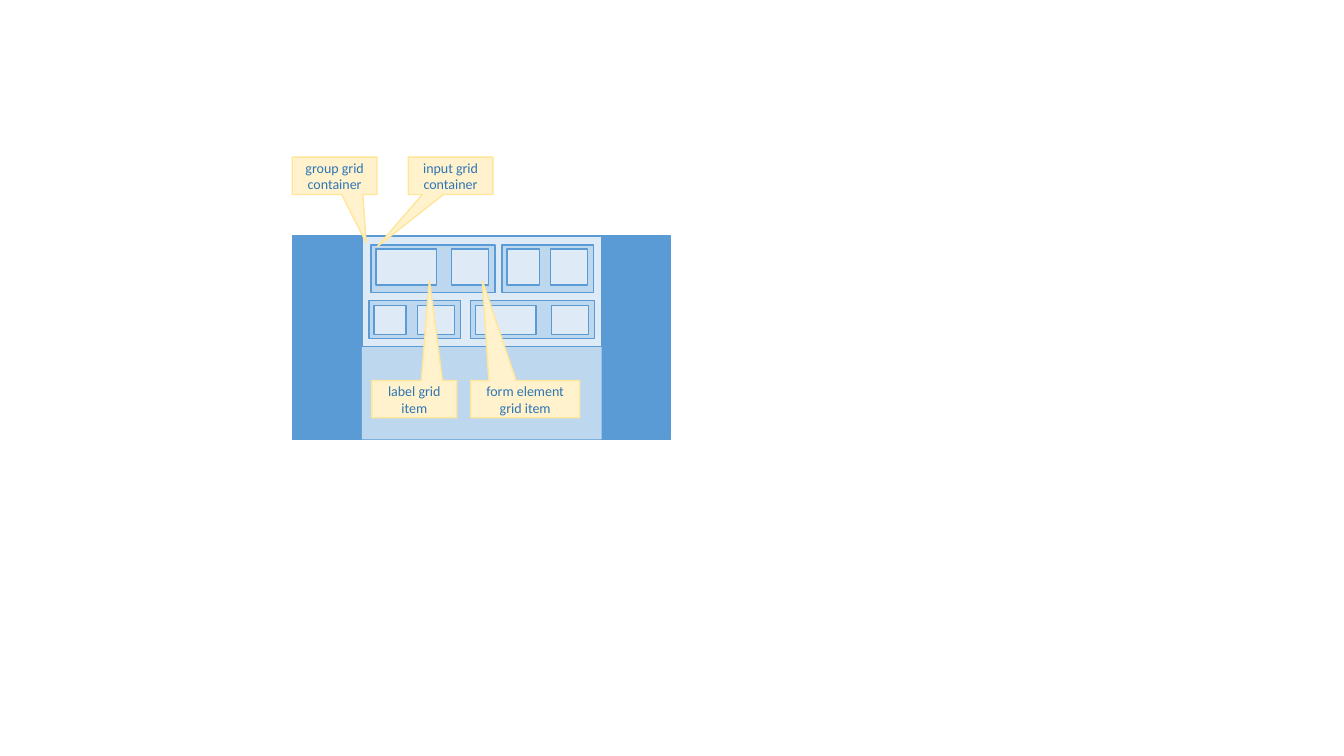
from typing import NamedTuple, Optional

from pptx import Presentation
from pptx import util as u
from pptx.dml import color
from pptx.enum import shapes, text

COLORS = {
    "blue": "5B9BD5",
    "light": "BDD7EE",
    "pale": "DEEBF7",
    "cream": "FFF2CC",
    "gold": "FFE699",
    "ink": "2E75B6",
}
ELEMENT_W = 26.64
INSET_X = 3.6
CALLOUT_H = 26.64


class Box(NamedTuple):
    """A rectangle in points."""
    left: float
    top: float
    width: float
    height: float


class Row(NamedTuple):
    """Vertical measures of a row of inputs."""
    top: float
    height: float
    inset: float
    item_height: float


class InputKind(NamedTuple):
    """Horizontal measures of an input grid container."""
    width: float
    label_width: float
    element_offset: float


class Callout(NamedTuple):
    """A captioned callout with its pointer adjustments."""
    caption: str
    left: float
    top: float
    width: float
    tip: tuple[float, float]


ROW_1 = Row(174.96, 33.84, 2.88, 25.92)
ROW_2 = Row(214.56, 27.36, 3.6, 20.88)
WIDE = InputKind(88.56, 43.2, 57.6)
NARROW = InputKind(65.52, 23.04, 34.56)

INPUTS = [
    (264.96, ROW_1, WIDE),
    (358.56, ROW_1, NARROW),
    (336.24, ROW_2, WIDE),
    (263.52, ROW_2, NARROW),
]
CALLOUTS = [
    Callout("group grid\ncontainer", 208.8, 112.32, 60.48, (0.373, 1.791)),
    Callout("input grid\ncontainer", 291.6, 112.32, 60.48, (-0.864, 1.894)),
    Callout("label grid\nitem", 265.68, 271.8, 60.48, (0.179, -3.191)),
    Callout("form element\ngrid item", 336.24, 271.8, 77.76, (-0.393, -3.176)),
]


def rgb(name: str) -> color.RGBColor:
    """Look up a palette colour."""
    return color.RGBColor.from_string(COLORS[name])


def add_box(s, box: Box, fill: str, line: Optional[str] = "blue",
            kind=shapes.MSO_SHAPE.RECTANGLE):
    """Add a flat filled shape, outlined unless line is None."""
    sp = s.shapes.add_shape(kind, *(u.Pt(v) for v in box))
    sp.shadow.inherit = False
    sp.fill.solid()
    sp.fill.fore_color.rgb = rgb(fill)
    if line:
        sp.line.color.rgb = rgb(line)
        sp.line.width = u.Pt(1)
    else:
        sp.line.fill.background()
    return sp


def add_input(s, left: float, row: Row, kind: InputKind) -> None:
    """Draw an input container with its label and form element."""
    add_box(s, Box(left, row.top, kind.width, row.height), "light")
    items = [(INSET_X, kind.label_width), (kind.element_offset, ELEMENT_W)]
    for offset, width in items:
        add_box(s, Box(left + offset, row.top + row.inset, width,
                       row.item_height), "pale")


def add_callout(s, callout: Callout) -> None:
    """Draw a callout with centred text."""
    box = Box(callout.left, callout.top, callout.width, CALLOUT_H)
    sp = add_box(s, box, "cream", "gold",
                 shapes.MSO_SHAPE.RECTANGULAR_CALLOUT)
    for i, value in enumerate(callout.tip):
        sp.adjustments[i] = value
    tf = sp.text_frame
    tf.margin_left = tf.margin_right = tf.margin_top = tf.margin_bottom = 0
    tf.vertical_anchor = text.MSO_ANCHOR.MIDDLE
    p = tf.paragraphs[0]
    p.text = callout.caption
    p.alignment = text.PP_ALIGN.CENTER
    for r in p.runs:
        r.font.name = "Calibri"
        r.font.size = u.Pt(10)
        r.font.color.rgb = rgb("ink")


def main() -> None:
    """Build the form layout slide."""
    prs = Presentation()
    prs.slide_width, prs.slide_height = u.Pt(960), u.Pt(540)
    s = prs.slides.add_slide(prs.slide_layouts[6])

    page = Box(208.8, 168.48, 270, 145.44)
    content = page._replace(left=258.48, width=171.36)
    add_box(s, page, "blue")
    add_box(s, content, "light", None)
    add_box(s, content._replace(height=79.2), "pale")

    for left, row, kind in INPUTS:
        add_input(s, left, row, kind)
    for callout in CALLOUTS:
        add_callout(s, callout)
    prs.save("out.pptx")


main()
